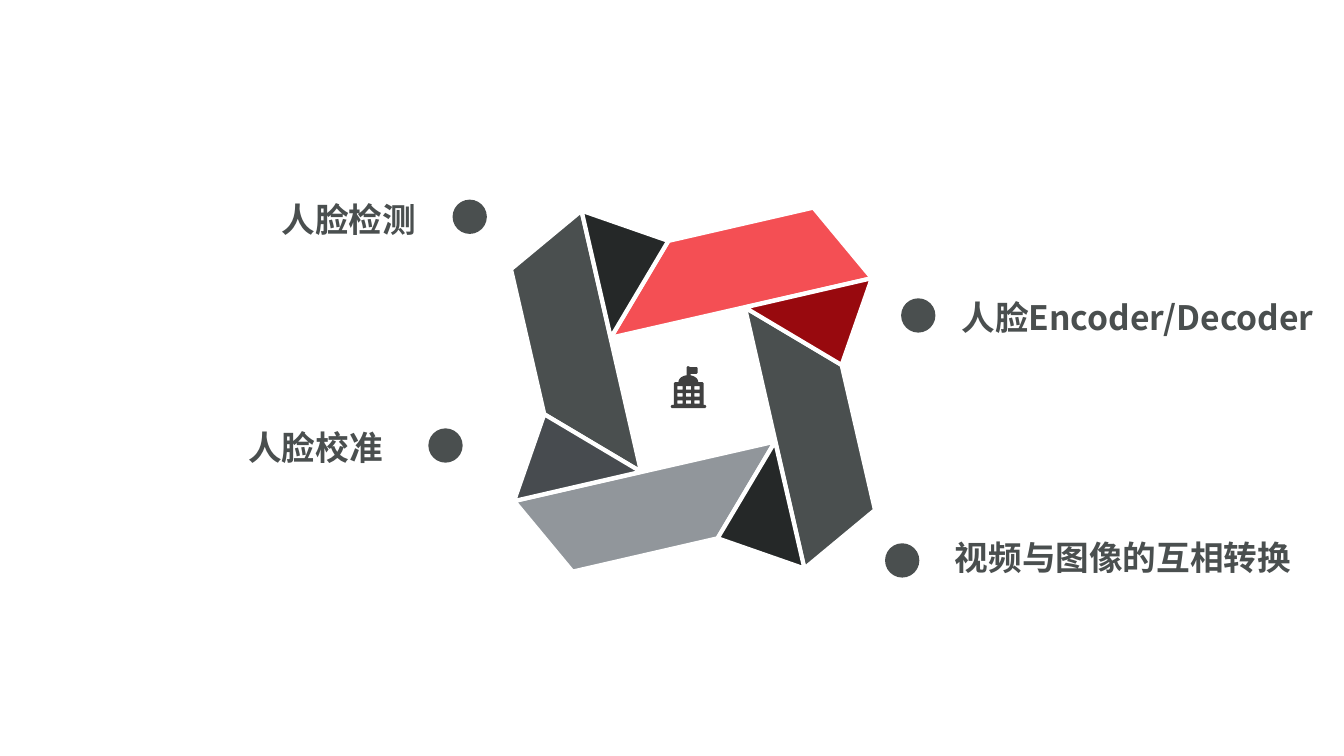
from math import cos, pi, sin

from pptx import Presentation
from pptx.dml.color import RGBColor
from pptx.enum.shapes import MSO_SHAPE
from pptx.enum.text import MSO_ANCHOR, PP_ALIGN
from pptx.oxml.ns import qn
from pptx.util import Pt

OVAL, RECTANGLE = MSO_SHAPE.OVAL, MSO_SHAPE.RECTANGLE
MIDDLE = MSO_ANCHOR.MIDDLE
LEFT, RIGHT = PP_ALIGN.LEFT, PP_ALIGN.RIGHT

COLORS = {
    "white": "FFFFFF",
    "slate": "4A4F4F",
    "red": "F44F54",
    "gray": "91969B",
    "black": "252828",
    "dark_red": "98090E",
    "charcoal": "474B4F",
    "icon": "404040",
}
LATIN, CHINESE = "Arial", "Noto Sans CJK SC"

BAND = [(-17.6, -106.2), (-58.7, -37.1), (127.8, -79.6), (86, -130)]
FOLD = [(-79.6, -127.8), (-17.6, -106.2), (-58.7, -37.1)]
BAND_COLORS = ["red", "slate", "gray", "slate"]
FOLD_COLORS = ["black", "dark_red", "black", "charcoal"]

DOT_SIZE = 24.5
LABEL_WIDTH, LABEL_HEIGHT = 177.8, 23
LABELS = [
    ("人脸检测", (141.8, 144.7), (323.3, 142.6), RIGHT, LATIN),
    ("人脸Encoder/Decoder", (686.9, 214.6), (643.7, 213.1), LEFT, CHINESE),
    ("人脸校准", (118.1, 307.8), (306, 306), RIGHT, LATIN),
    ("视频与图像的互相转换", (766.8, 386.6), (632.2, 388.1), RIGHT, LATIN),
]


def color(name):
    return RGBColor.from_string(COLORS[name])


def add_outline(page, contours, fill):
    contours = [[(Pt(x), Pt(y)) for x, y in points] for points in contours]
    builder = page.shapes.build_freeform(*contours[0][0])
    builder.add_line_segments(contours[0][1:])
    for points in contours[1:]:
        builder.move_to(*points[0])
        builder.add_line_segments(points[1:])
    shape = builder.convert_to_shape()
    shape.shadow.inherit = False
    shape.fill.solid()
    shape.fill.fore_color.rgb = color(fill)
    shape.line.fill.background()
    return shape


def add_ring(page, center_x, center_y):
    for outline, fills in ((BAND, BAND_COLORS), (FOLD, FOLD_COLORS)):
        for fill in fills:
            points = [(center_x + x, center_y + y) for x, y in outline]
            shape = add_outline(page, [points], fill)
            shape.line.color.rgb = color("white")
            shape.line.width = Pt(3)
            outline = [(-y, x) for x, y in outline]


def add_building(page, left, top):
    dome = [(12.7 + 7.1 * cos(pi * step / 12), 11.5 - 5 * sin(pi * step / 12))
            for step in range(13)]
    flag = [(11.5, 6.6), (11.5, 0.8), (12.3, 0), (14, 0.7), (18.6, 0.7),
            (19.4, 1.5), (19.4, 4.8), (18.6, 5.6), (14.4, 5.6), (14.4, 6.6)]
    walls = [(3.1, 11.5), (2.3, 12.3), (2.3, 27.8), (0.8, 27.8), (0, 28.9),
             (0.8, 30), (24.8, 30), (25.6, 28.9), (24.8, 27.8), (23.6, 27.8),
             (23.6, 12.3), (22.8, 11.5)]
    contours = [dome[:6] + flag[::-1] + dome[7:] + walls]
    for row in range(3):
        for column in range(3):
            x, y = 4.8 + 6.1 * column, 14.4 + 5.05 * row
            contours.append([(x, y), (x + 3.8, y), (x + 3.8, y + 2.4), (x, y + 2.4)])
    contours = [[(left + x, top + y) for x, y in points] for points in contours]
    add_outline(page, [points + points[:1] for points in contours], "icon")


def add_label(page, text, label_at, dot_at, align, font_name):
    dot = page.shapes.add_shape(OVAL, *map(Pt, dot_at), Pt(DOT_SIZE), Pt(DOT_SIZE))
    dot.shadow.inherit = False
    dot.fill.solid()
    dot.fill.fore_color.rgb = color("slate")
    dot.line.fill.background()

    box = page.shapes.add_shape(RECTANGLE, *map(Pt, label_at),
                                Pt(LABEL_WIDTH), Pt(LABEL_HEIGHT))
    box.shadow.inherit = False
    box.fill.background()
    box.line.fill.background()
    frame = box.text_frame
    frame.margin_left = frame.margin_top = frame.margin_bottom = 0
    frame.margin_right = Pt(22.5)
    frame.vertical_anchor = MIDDLE
    frame.word_wrap = False
    frame.text = text
    para = frame.paragraphs[0]
    para.alignment = align
    span = para.runs[0]
    span.font.size = Pt(24)
    span.font.bold = True
    span.font.name = font_name
    span.font.color.rgb = color("slate")
    east_asian = span.font._element.makeelement(qn("a:ea"), {"typeface": CHINESE})
    span.font._element.append(east_asian)


def main():
    deck = Presentation()
    deck.slide_width, deck.slide_height = Pt(960), Pt(540)
    page = deck.slides.add_slide(deck.slide_layouts[6])
    add_ring(page, 495, 278.3)
    add_building(page, 479, 261.5)
    for label in LABELS:
        add_label(page, *label)
    deck.save("out.pptx")


if __name__ == "__main__":
    main()
